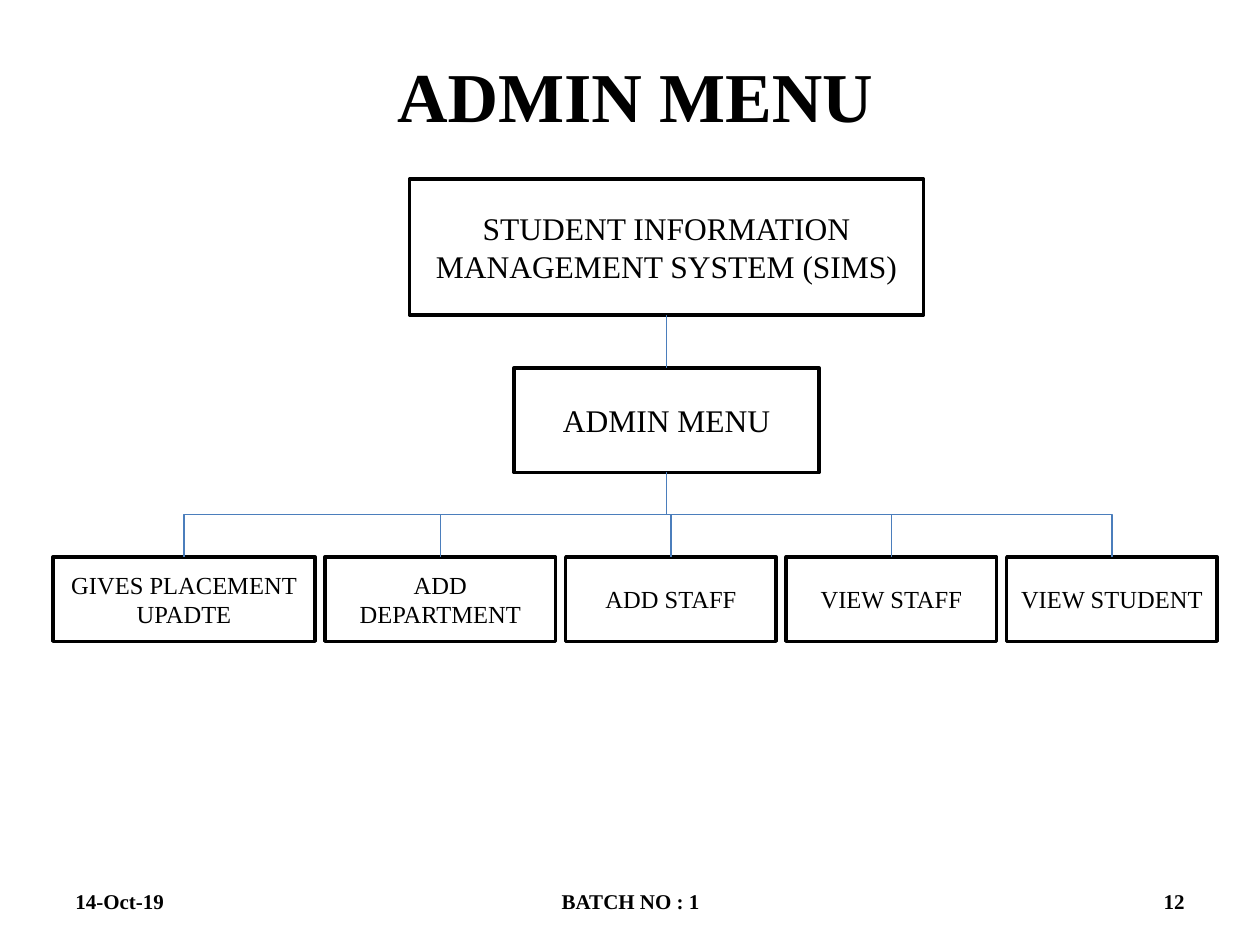
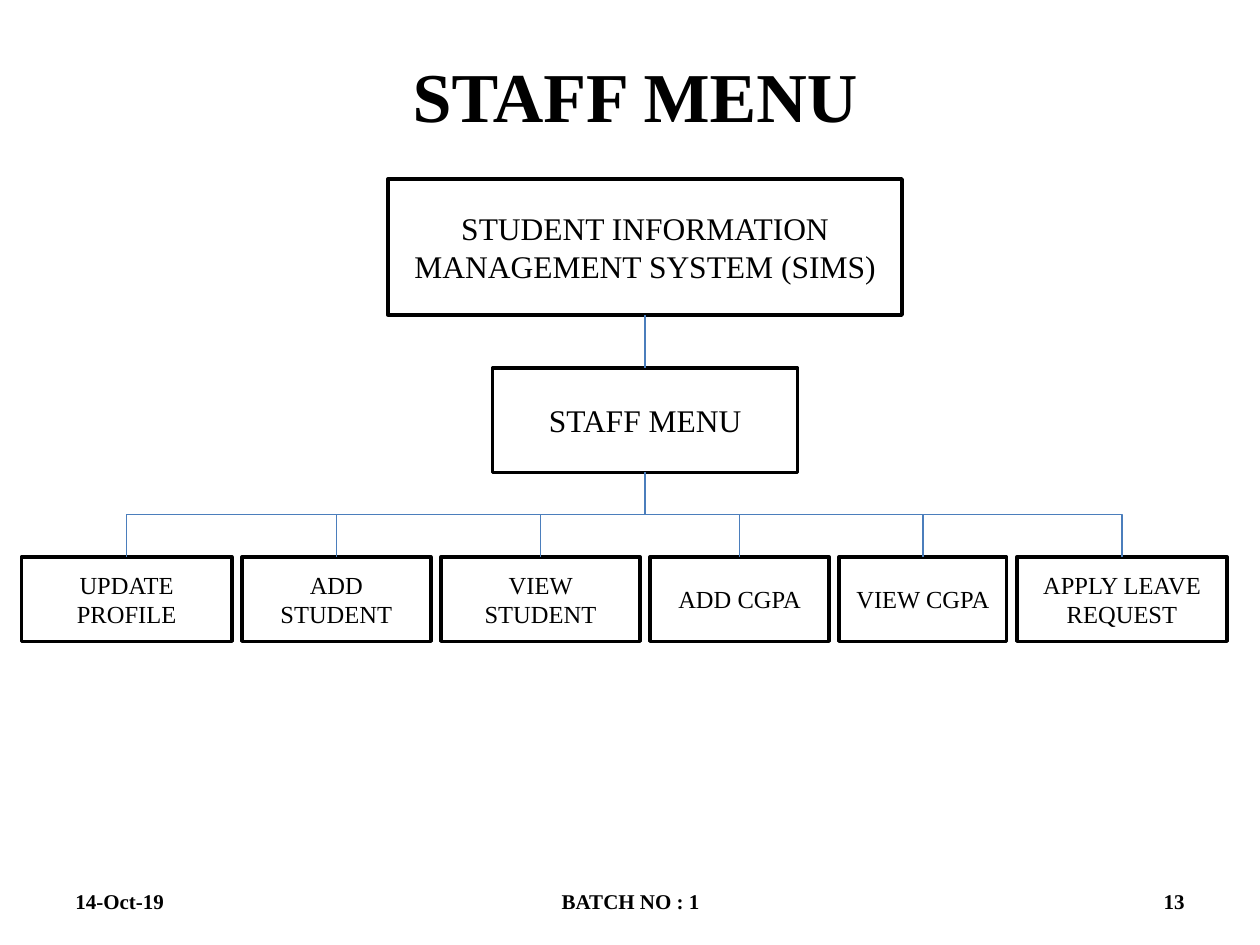
from lxml import etree
from pptx import Presentation
from pptx.dml.color import RGBColor
from pptx.enum import shapes, text
from pptx.oxml.ns import qn
from pptx.util import Inches, Pt

FONT = "Times New Roman"
BLACK, WHITE, LINK_BLUE = "000000", "FFFFFF", "4B7EBC"
LEFT, CENTER, RIGHT = text.PP_ALIGN.LEFT, text.PP_ALIGN.CENTER, text.PP_ALIGN.RIGHT

# Shared page furniture
TITLE_BOX = (0.58, 0.25, 8.92, 1)
FOOTER_TOP, FOOTER_HEIGHT = 6.95, 0.4
DATE, BATCH = "14-Oct-19", "BATCH NO : 1"

# Levels of the menu tree: top, height and, where fixed, width
SYSTEM = "STUDENT INFORMATION MANAGEMENT SYSTEM (SIMS)"
SYSTEM_TOP, SYSTEM_WIDTH, SYSTEM_HEIGHT = 1.42, 4.08, 1.08
MENU_TOP, MENU_WIDTH, MENU_HEIGHT = 2.92, 2.42, 0.83
OPTION_TOP, OPTION_HEIGHT, OPTION_GAP = 4.42, 0.67, 0.08

# Title, page number, tree centre, left of the options, options with widths
MENUS = [
    ("ADMIN MENU", 12, 5.29, 0.42, [
        ("GIVES PLACEMENT UPADTE", 2.08), ("ADD DEPARTMENT", 1.83),
        ("ADD STAFF", 1.67), ("VIEW STAFF", 1.67), ("VIEW STUDENT", 1.67)]),
    ("STAFF MENU", 13, 5.12, 0.17, [
        ("UPDATE PROFILE", 1.67), ("ADD STUDENT", 1.5), ("VIEW STUDENT", 1.58),
        ("ADD CGPA", 1.42), ("VIEW CGPA", 1.33), ("APPLY LEAVE REQUEST", 1.67)]),
]


def color(value):
    return RGBColor.from_string(value)


def write(frame, words, size, align=CENTER, bold=False):
    frame.word_wrap = True
    frame.vertical_anchor = text.MSO_ANCHOR.MIDDLE
    paragraph = frame.paragraphs[0]
    paragraph.alignment = align
    run = paragraph.add_run()
    run.text = words
    run.font.name, run.font.size, run.font.bold = FONT, Pt(size), bold
    run.font.color.rgb = color(BLACK)


def add_title(slide, words):
    title = slide.shapes.title
    title.left, title.top, title.width, title.height = map(Inches, TITLE_BOX)
    write(title.text_frame, words, 40, bold=True)


def add_footer(slide, number):
    parts = [(DATE, 0.5, 2.33, LEFT), (BATCH, 3.42, 3.17, CENTER),
             (str(number), 7.17, 2.33, RIGHT)]
    for words, left, width, align in parts:
        box = slide.shapes.add_textbox(Inches(left), Inches(FOOTER_TOP),
                                       Inches(width), Inches(FOOTER_HEIGHT))
        write(box.text_frame, words, 12, align, bold=True)


def add_node(slide, words, center, top, width, height, size):
    node = slide.shapes.add_shape(
        shapes.MSO_SHAPE.RECTANGLE, Inches(center - width / 2), Inches(top),
        Inches(width), Inches(height))
    node.shadow.inherit = False
    node.fill.solid()
    node.fill.fore_color.rgb = color(WHITE)
    node.line.color.rgb = color(BLACK)
    node.line.width = Pt(2)
    write(node.text_frame, words, size)
    return node


def add_link(slide, kind, x1, y1, x2, y2):
    link = slide.shapes.add_connector(kind, *map(Inches, (x1, y1, x2, y2)))
    link.line.color.rgb = color(LINK_BLUE)
    link.line.width = Pt(0.75)
    etree.SubElement(link._element.spPr, qn("a:effectLst"))
    return link


def add_branch(slide, start, end):
    """Elbow that leaves downwards: a sideways elbow turned by a quarter."""
    (x1, y1), (x2, y2) = start, end
    mid_x, mid_y = (x1 + x2) / 2, (y1 + y2) / 2
    half_drop, half_run = (y2 - y1) / 2, abs(x2 - x1) / 2
    to_right = x2 > x1
    if to_right:
        half_drop = -half_drop  # mirrors the elbow
    branch = add_link(slide, shapes.MSO_CONNECTOR.ELBOW,
                      mid_x - half_drop, mid_y - half_run,
                      mid_x + half_drop, mid_y + half_run)
    degrees = 270 if to_right else 90
    branch._element.spPr.find(qn("a:xfrm")).set("rot", str(degrees * 60000))


def add_menu_tree(slide, menu, center, left, options):
    # System and menu, joined by a straight line
    system_node = add_node(slide, SYSTEM, center, SYSTEM_TOP, SYSTEM_WIDTH,
                           SYSTEM_HEIGHT, 18)
    menu_node = add_node(slide, menu, center, MENU_TOP, MENU_WIDTH, MENU_HEIGHT, 18)
    trunk = add_link(slide, shapes.MSO_CONNECTOR.STRAIGHT, center,
                     SYSTEM_TOP + SYSTEM_HEIGHT, center, MENU_TOP)
    trunk.begin_connect(system_node, 2)
    trunk.end_connect(menu_node, 0)

    # Row of options, each on its own branch
    for option, width in options:
        middle = left + width / 2
        add_node(slide, option, middle, OPTION_TOP, width, OPTION_HEIGHT, 14)
        add_branch(slide, (center, MENU_TOP + MENU_HEIGHT), (middle, OPTION_TOP))
        left += width + OPTION_GAP


def main():
    deck = Presentation()
    deck.slide_width, deck.slide_height = Inches(10), Inches(7.5)
    for title, number, center, left, options in MENUS:
        slide = deck.slides.add_slide(deck.slide_layouts[5])
        add_title(slide, title)
        add_menu_tree(slide, title, center, left, options)
        add_footer(slide, number)
    deck.save("out.pptx")


if __name__ == "__main__":
    main()
